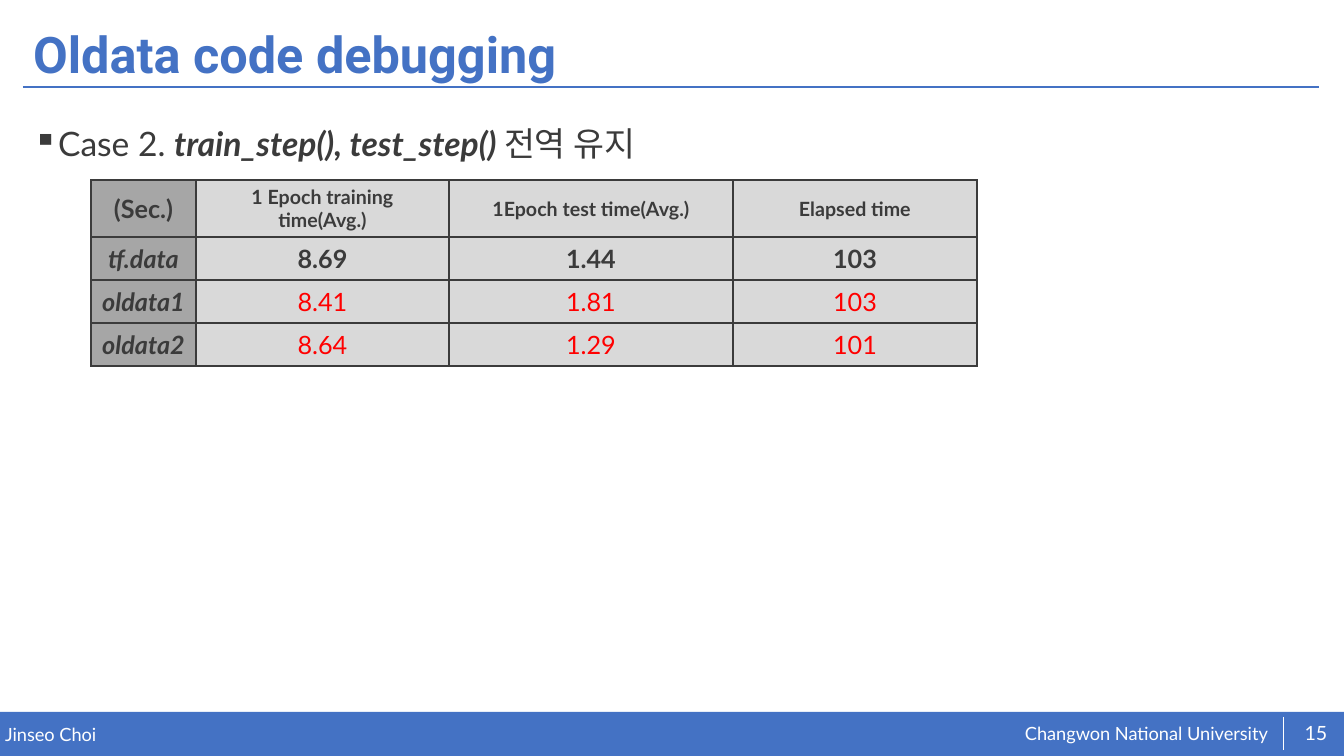
from dataclasses import dataclass

from lxml import etree
from pptx import Presentation
from pptx.dml.color import RGBColor
from pptx.enum.shapes import MSO_CONNECTOR, MSO_SHAPE
from pptx.enum.text import MSO_ANCHOR, PP_ALIGN
from pptx.oxml.ns import qn
from pptx.util import Pt

LINE, RECT = MSO_CONNECTOR.STRAIGHT, MSO_SHAPE.RECTANGLE
TOP, MIDDLE = MSO_ANCHOR.TOP, MSO_ANCHOR.MIDDLE
LEFT, CENTER = PP_ALIGN.LEFT, PP_ALIGN.CENTER
SCALE = 914400 / 100.8
WIDE, HIGH = 1344, 756


@dataclass(frozen=True)
class Theme:
    blue: str = "4472C4"
    ink: str = "3B3B3B"
    red: str = "FF0000"
    white: str = "FFFFFF"
    dark: str = "A6A6A6"
    light: str = "D9D9D9"
    head: str = "Roboto"
    text: str = "Lato"
    title: int = 36
    body: int = 24
    cell: int = 18
    label: int = 14
    foot: int = 13


def emu(px):
    return round(px * SCALE)


def rgb(code):
    return RGBColor.from_string(code)


class Deck:
    def __init__(self, theme):
        self.theme = theme
        self.file = Presentation()
        self.file.slide_width, self.file.slide_height = emu(WIDE), emu(HIGH)
        self.slide = self.file.slides.add_slide(self.file.slide_layouts[6])

    def style(self, para, size, color, bold=None, italic=None, face=None):
        font = para.font
        font.name, font.size = face or self.theme.text, Pt(size)
        font.bold, font.italic = bold, italic
        font.color.rgb = rgb(color)

    def bar(self, x, y, w, h, color):
        shape = self.slide.shapes.add_shape(RECT, *map(emu, (x, y, w, h)))
        shape.shadow.inherit = False
        shape.fill.solid()
        shape.fill.fore_color.rgb = rgb(color)
        shape.line.fill.background()

    def rule(self, x1, y1, x2, y2, color, width):
        line = self.slide.shapes.add_connector(LINE, *map(emu, (x1, y1, x2, y2)))
        line.line.color.rgb = rgb(color)
        line.line.width = Pt(width)
        etree.SubElement(line._element.spPr, qn("a:effectLst"))

    def box(self, x, y, w, h, pad=(0, 0), anchor=TOP):
        """Add an empty text box and return its first paragraph."""
        frame = self.slide.shapes.add_textbox(*map(emu, (x, y, w, h))).text_frame
        frame.word_wrap = True
        frame.vertical_anchor = anchor
        frame.margin_left = frame.margin_right = emu(pad[0])
        frame.margin_top = frame.margin_bottom = emu(pad[1])
        return frame.paragraphs[0]

    def text(self, place, words, size, color, align=LEFT, space=1.0,
             pad=(0, 0), anchor=TOP, bold=None, face=None):
        para = self.box(*place, pad, anchor)
        para.text, para.alignment, para.line_spacing = words, align, space
        self.style(para, size, color, bold, face=face)

    def bullet(self, place, parts):
        """Add a bulleted line from (words, strong) parts."""
        para = self.box(*place, (10, 5))
        para.line_spacing = 1.4
        props = para._p.get_or_add_pPr()
        props.set("marL", str(emu(25)))
        props.set("indent", str(emu(-25)))
        etree.SubElement(props, qn("a:buChar"), char="▪")
        self.style(para, self.theme.body, self.theme.ink)
        for words, strong in parts:
            run = para.add_run()
            run.text = words
            run.font.bold = run.font.italic = strong

    def edge(self, cell):
        props = cell._tc.get_or_add_tcPr()
        for rank, side in enumerate(("lnL", "lnR", "lnT", "lnB")):
            line = etree.Element(qn("a:" + side), w=str(Pt(1.5)))
            fill = etree.SubElement(line, qn("a:solidFill"))
            etree.SubElement(fill, qn("a:srgbClr"), val=self.theme.ink)
            props.insert(rank, line)

    def table(self, x, y, cols, rows, data):
        """Add a table whose first row and column are labels."""
        look = self.theme
        size = map(emu, (x, y, sum(cols), sum(rows)))
        grid = self.slide.shapes.add_table(len(rows), len(cols), *size).table
        for col, w in zip(grid.columns, cols):
            col.width = emu(w)
        for row, h in zip(grid.rows, rows):
            row.height = emu(h)
        for r, line in enumerate(data):
            for c, words in enumerate(line):
                cell = grid.cell(r, c)
                cell.fill.solid()
                cell.fill.fore_color.rgb = rgb(look.light if c else look.dark)
                cell.vertical_anchor = MIDDLE
                para = cell.text_frame.paragraphs[0]
                para.text, para.alignment = words, CENTER
                plain = r > 1 and c > 0
                self.style(para, look.label if r == 0 and c else look.cell,
                           look.red if plain else look.ink,
                           not plain, r > 0 and c == 0)
                self.edge(cell)


def main():
    look = Theme()
    deck = Deck(look)
    deck.bar(0, 712, WIDE, 44, look.blue)
    deck.text((1025, 722, 250, 23), "Changwon National University",
              look.foot, look.white)
    deck.text((5, 723, 660, 22), "Jinseo Choi", look.foot, look.white)
    deck.rule(23, 87, 1319, 87, look.blue, 2)
    deck.rule(1283, 717, 1283, 750, look.white, 0.5)
    deck.text((23, 18, 1296, 78), "Oldata code debugging", look.title, look.blue,
              space=0.9, pad=(10, 5), anchor=MIDDLE, bold=True, face=look.head)
    deck.bullet((23, 102, 1296, 568), [
        ("Case 2. ", False),
        ("train_step(), test_step() ", True),
        ("전역 유지", False),
    ])
    deck.text((1292, 713, 48, 40), "15", look.label, look.white,
              align=CENTER, anchor=MIDDLE)
    deck.table(91, 180, (105, 253, 284, 244), (57, 43, 43, 43), [
        ("(Sec.)", "1 Epoch training time(Avg.)", "1Epoch test time(Avg.)",
         "Elapsed time"),
        ("tf.data", "8.69", "1.44", "103"),
        ("oldata1", "8.41", "1.81", "103"),
        ("oldata2", "8.64", "1.29", "101"),
    ])
    deck.file.save("out.pptx")


if __name__ == "__main__":
    main()
